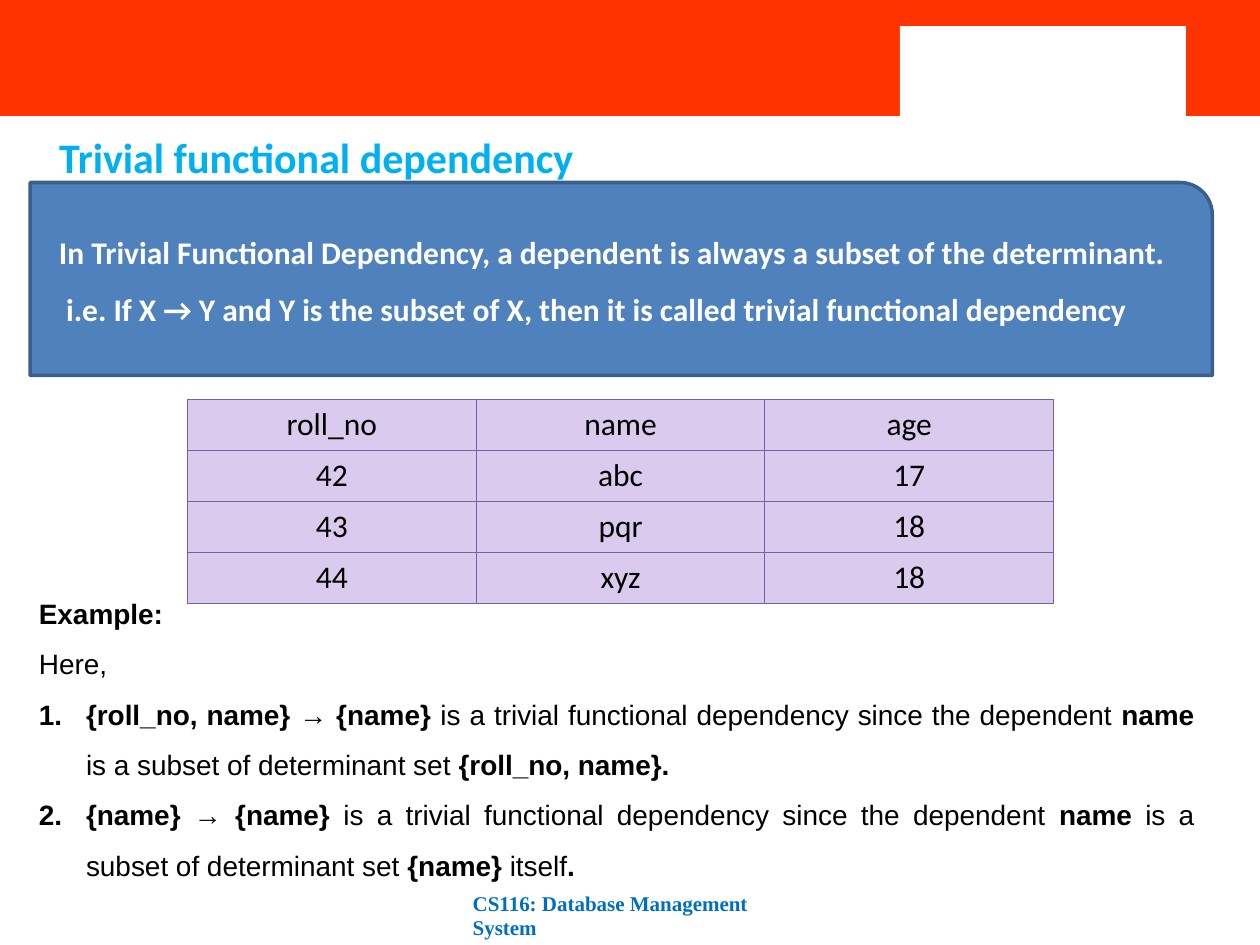
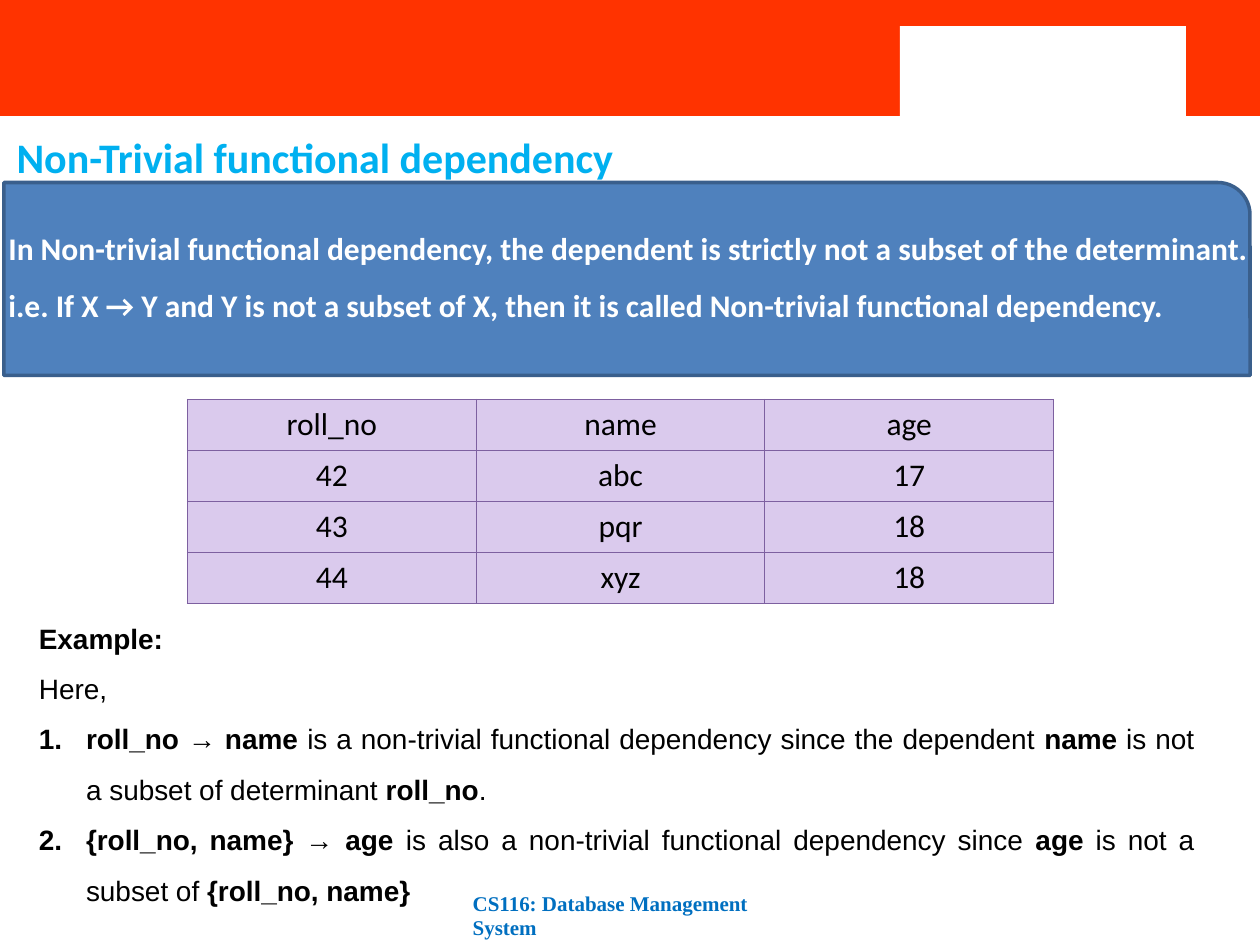
from lxml import etree
from pptx import Presentation
from pptx import util as u
from pptx.dml.color import RGBColor
from pptx.enum import shapes, text
from pptx.oxml import ns

RED, WHITE, BLACK = "FF3300", "FFFFFF", "000000"
SKY, FOOTER_BLUE = "00B0F0", "006FC0"
PANEL_BLUE, PANEL_EDGE = "4F81BD", "3A5F8C"
LILAC, PURPLE = "DACAED", "7D60A0"

STUDENTS = [
    ["roll_no", "name", "age"],
    ["42", "abc", "17"],
    ["43", "pqr", "18"],
    ["44", "xyz", "18"],
]

TRIVIAL = {
    "title": "Trivial functional dependency",
    "title_box": (0.94, 2.01, 11, 1.63),
    "panel_box": (0.61, 3.68, 23.83, 3.89),
    "definition_box": (0.94, 4.19, 23.83, 2.44),
    "definition": [
        "In Trivial Functional Dependency, a dependent is always a subset of the determinant.",
        " i.e. If X → Y and Y is the subset of X, then it is called trivial functional dependency",
    ],
    "example_box": (0.53, 11.56, 23.8, 8.46),
    "cases": [
        "**{roll_no, name} → {name}** is a trivial functional dependency since the dependent "
        "**name** is a subset of determinant set **{roll_no, name}.**",
        "**{name} → {name} **is a trivial functional dependency since the dependent "
        "**name** is a subset of determinant set **{name} **itself**.**",
    ],
}

NON_TRIVIAL = {
    "title": "Non-Trivial functional dependency",
    "title_box": (0.08, 2.01, 12.73, 1.63),
    "panel_box": (0.08, 3.68, 25.12, 3.89),
    "definition_box": (-0.08, 4.11, 25.76, 2.57),
    "definition": [
        "In Non-trivial functional dependency, the dependent is strictly not a subset of the determinant.",
        "i.e. If X → Y and Y is not a subset of X, then it is called Non-trivial functional dependency.",
    ],
    "example_box": (0.53, 12.06, 23.8, 7.44),
    "cases": [
        "**roll_no → name **is a non-trivial functional dependency since the dependent "
        "**name** is not a subset of determinant **roll_no**.",
        "**{roll_no, name} → age **is also a non-trivial functional dependency since "
        "**age** is not a subset of **{roll_no, name}**",
    ],
}


def color(value):
    return RGBColor.from_string(value)


def cm(*lengths):
    return [u.Cm(length) for length in lengths]


def place(shape, box):
    shape.left, shape.top, shape.width, shape.height = cm(*box)


def style_frame(frame, wrap=True):
    frame.word_wrap = wrap
    frame.auto_size = text.MSO_AUTO_SIZE.NONE
    frame.vertical_anchor = text.MSO_ANCHOR.TOP


def style_para(para, spacing, align=text.PP_ALIGN.LEFT):
    para.alignment = align
    para.line_spacing = spacing
    para.space_before = u.Pt(0)


def style_span(span, name, size, ink, bold=False):
    span.font.name = name
    span.font.size = u.Pt(size)
    span.font.color.rgb = color(ink)
    span.font.bold = bold


def add_block(page, kind, box, fill, edge=None):
    block = page.shapes.add_shape(kind, *cm(*box))
    block.shadow.inherit = False
    block.fill.solid()
    block.fill.fore_color.rgb = color(fill)
    if edge:
        block.line.color.rgb = color(edge)
        block.line.width = u.Pt(2)
    else:
        block.line.fill.background()
    return block


def add_band_to_layout(page):
    bands = [
        ((0, 0, 25.4, 2.34), RED),
        ((17.07, 0, 8.33, 2.34), RED),
        ((18.14, 0.53, 5.77, 1.91), WHITE),
    ]
    for position, (box, fill) in enumerate(bands, start=2):
        band = add_block(page, shapes.MSO_SHAPE.RECTANGLE, box, fill)
        page.slide_layout.shapes.element.insert(position, band.element)


def set_title(page, title, box):
    heading = page.shapes.title
    place(heading, box)
    heading.text_frame.text = title
    style_frame(heading.text_frame, wrap=False)
    para = heading.text_frame.paragraphs[0]
    style_para(para, 1.5)
    style_span(para.runs[0], "Calibri", 24, SKY, True)


def add_lines(page, box, lines, spacing, name, size, ink):
    label = page.shapes.add_textbox(*cm(*box))
    frame = label.text_frame
    frame.text = "\n".join(lines)
    style_frame(frame)
    for para in frame.paragraphs:
        style_para(para, spacing)
        style_span(para.runs[0], name, size, ink, True)
    return frame


def add_footer(page):
    frame = add_lines(page, (9.53, 17.96, 5.82, 0.53), ["CS116: Database Management System"],
                      u.Pt(14.1), "Times New Roman", 12, FOOTER_BLUE)
    frame.margin_left = frame.margin_right = frame.margin_top = frame.margin_bottom = 0


def add_borders(cell):
    properties = cell._tc.get_or_add_tcPr()
    for side in ("lnL", "lnR", "lnT", "lnB"):
        line = etree.SubElement(properties, ns.qn("a:" + side), w=str(u.Pt(0.75)))
        fill = etree.SubElement(line, ns.qn("a:solidFill"))
        etree.SubElement(fill, ns.qn("a:srgbClr"), val=PURPLE)


def add_student_table(page):
    grid = page.shapes.add_table(len(STUDENTS), len(STUDENTS[0]), *cm(3.78, 8.05, 17.46, 4.06)).table
    grid.first_row = grid.horz_banding = False
    for row, values in zip(grid.rows, STUDENTS):
        for cell, value in zip(row.cells, values):
            add_borders(cell)
            cell.fill.solid()
            cell.fill.fore_color.rgb = color(LILAC)
            cell.vertical_anchor = text.MSO_ANCHOR.MIDDLE
            cell.text_frame.text = value
            para = cell.text_frame.paragraphs[0]
            para.alignment = text.PP_ALIGN.CENTER
            style_span(para.runs[0], "Calibri", 18, BLACK)


def set_bullet(para, numbered):
    properties = para._p.get_or_add_pPr()
    hanging = u.Cm(0.95) if numbered else 0
    properties.set("marL", str(hanging))
    properties.set("indent", str(-hanging))
    if numbered:
        etree.SubElement(properties, ns.qn("a:buFont"), typeface="+mj-lt")
        etree.SubElement(properties, ns.qn("a:buAutoNum"), type="arabicPeriod")
    else:
        etree.SubElement(properties, ns.qn("a:buNone"))


def set_example(page, cases, box):
    body = page.placeholders[1]
    place(body, box)
    frame = body.text_frame
    style_frame(frame)
    lines = [("**Example:**", False), ("Here,", False)] + [(case, True) for case in cases]
    for index, (line, numbered) in enumerate(lines):
        para = frame.add_paragraph() if index else frame.paragraphs[0]
        set_bullet(para, numbered)
        style_para(para, 1.5, text.PP_ALIGN.JUSTIFY)
        for part, words in enumerate(line.split("**")):
            if words:
                span = para.add_run()
                span.text = words
                style_span(span, "Arial", 16, BLACK, part % 2 == 1)


def add_dependency_page(deck, content):
    page = deck.slides.add_slide(deck.slide_layouts[1])
    set_title(page, content["title"], content["title_box"])
    add_block(page, shapes.MSO_SHAPE.ROUND_1_RECTANGLE, content["panel_box"], PANEL_BLUE, PANEL_EDGE)
    add_footer(page)
    add_lines(page, content["definition_box"], content["definition"], 1.5, "Calibri", 18, WHITE)
    add_student_table(page)
    set_example(page, content["cases"], content["example_box"])
    return page


def main():
    deck = Presentation()
    deck.slide_width, deck.slide_height = cm(25.4, 19.05)
    pages = [add_dependency_page(deck, content) for content in (TRIVIAL, NON_TRIVIAL)]
    add_band_to_layout(pages[0])
    deck.save("out.pptx")


if __name__ == "__main__":
    main()
